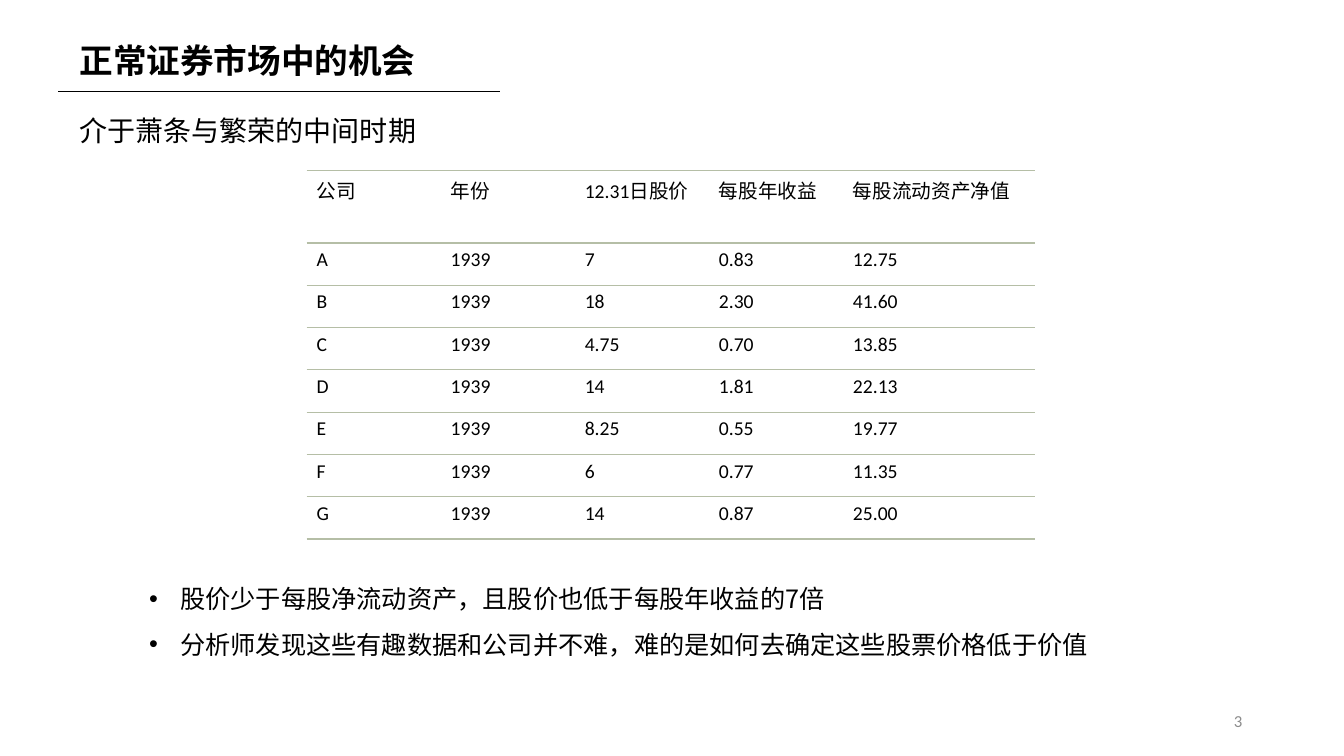
from lxml import etree
from pptx import Presentation
from pptx.dml.color import RGBColor
from pptx.enum.shapes import MSO_CONNECTOR
from pptx.enum.text import MSO_ANCHOR, PP_ALIGN
from pptx.oxml.ns import qn
from pptx.util import Inches, Pt

STRAIGHT = MSO_CONNECTOR.STRAIGHT
TOP, MIDDLE = MSO_ANCHOR.TOP, MSO_ANCHOR.MIDDLE
LEFT, RIGHT = PP_ALIGN.LEFT, PP_ALIGN.RIGHT

BLACK = RGBColor(0x00, 0x00, 0x00)
WHITE = RGBColor(0xFF, 0xFF, 0xFF)
GREY = RGBColor(0x8C, 0x8C, 0x8C)
SAGE = RGBColor(0xB5, 0xBE, 0xA6)
CJK_FONT = "Noto Sans CJK SC"
LATIN_FONT = "Calibri"

TITLE = "正常证券市场中的机会"
SUBTITLE = "介于萧条与繁荣的中间时期"
FINDINGS = [
    "股价少于每股净流动资产，且股价也低于每股年收益的7倍",
    "分析师发现这些有趣数据和公司并不难，难的是如何去确定这些股票价格低于价值",
]
PAGE_NUMBER = "3"
HEADER = ("公司", "年份", "12.31日股价", "每股年收益", "每股流动资产净值")
COMPANIES = [
    ("A", "1939", "7", "0.83", "12.75"),
    ("B", "1939", "18", "2.30", "41.60"),
    ("C", "1939", "4.75", "0.70", "13.85"),
    ("D", "1939", "14", "1.81", "22.13"),
    ("E", "1939", "8.25", "0.55", "19.77"),
    ("F", "1939", "6", "0.77", "11.35"),
    ("G", "1939", "14", "0.87", "25.00"),
]
COLUMN_WIDTHS = [1.33] * 4 + [1.91]
ROW_HEIGHTS = [0.72] + [0.42] * len(COMPANIES)


def style(paragraph, size, font_name=CJK_FONT, color=BLACK, bold=False):
    font = paragraph.font
    font.size, font.name, font.bold = Pt(size), font_name, bold
    font.color.rgb = color
    defaults = paragraph._p.pPr.find(qn("a:defRPr"))
    etree.SubElement(defaults, qn("a:ea"), typeface=CJK_FONT)


def add_text(slide, box, lines, size, align=LEFT, anchor=TOP, **look):
    frame = slide.shapes.add_textbox(*map(Inches, box)).text_frame
    frame.word_wrap = True
    frame.vertical_anchor = anchor
    frame.text = "\n".join(lines)
    for paragraph in frame.paragraphs:
        paragraph.alignment = align
        style(paragraph, size, **look)
    return frame


def add_bullet(paragraph):
    paragraph.line_spacing = 1.5
    properties = paragraph._p.pPr
    properties.set("marL", str(Inches(0.31)))
    properties.set("indent", str(-Inches(0.31)))
    defaults = properties.find(qn("a:defRPr"))
    bullet_font = etree.Element(qn("a:buFont"), typeface="Arial")
    bullet = etree.Element(qn("a:buChar"), char="•")
    defaults.addprevious(bullet_font)
    defaults.addprevious(bullet)


def rule_cell(cell):
    properties = cell._tc.get_or_add_tcPr()
    for position, side in enumerate(("lnL", "lnR", "lnT", "lnB")):
        border = etree.Element(qn(f"a:{side}"), w=str(Pt(1)))
        if side in ("lnT", "lnB"):
            fill = etree.SubElement(border, qn("a:solidFill"))
            etree.SubElement(fill, qn("a:srgbClr"), val=str(SAGE))
        else:
            etree.SubElement(border, qn("a:noFill"))
        properties.insert(position, border)


def add_company_table(slide):
    rows = [HEADER] + COMPANIES
    table = slide.shapes.add_table(
        len(rows), len(HEADER), Inches(3.04), Inches(1.69),
        Inches(sum(COLUMN_WIDTHS)), Inches(sum(ROW_HEIGHTS))).table
    table.first_row = table.horz_banding = False
    for column, width in zip(table.columns, COLUMN_WIDTHS):
        column.width = Inches(width)
    for row, height, values in zip(table.rows, ROW_HEIGHTS, rows):
        row.height = Inches(height)
        for cell, value in zip(row.cells, values):
            cell.text = value
            style(cell.text_frame.paragraphs[0], 14, LATIN_FONT)
            cell.fill.solid()
            cell.fill.fore_color.rgb = WHITE
            rule_cell(cell)


def main():
    deck = Presentation()
    deck.slide_width, deck.slide_height = Inches(13.33), Inches(7.5)
    slide = deck.slides.add_slide(deck.slide_layouts[6])

    add_text(slide, (0.69, 0.35, 3.95, 0.5), [TITLE], 24, bold=True)
    underline = slide.shapes.add_connector(
        STRAIGHT, Inches(0.58), Inches(0.91), Inches(4.96), Inches(0.91))
    underline.line.color.rgb = BLACK
    underline.line.width = Pt(1)
    etree.SubElement(underline._element.spPr, qn("a:effectLst"))
    add_text(slide, (0.69, 1.08, 4.87, 0.44), [SUBTITLE], 20)

    findings = add_text(slide, (1.38, 5.59, 10.39, 1.92), FINDINGS, 18)
    for paragraph in findings.paragraphs:
        add_bullet(paragraph)

    add_company_table(slide)
    add_text(slide, (9.42, 6.95, 3, 0.4), [PAGE_NUMBER], 12, RIGHT, MIDDLE,
             font_name=LATIN_FONT, color=GREY)
    deck.save("out.pptx")


if __name__ == "__main__":
    main()
